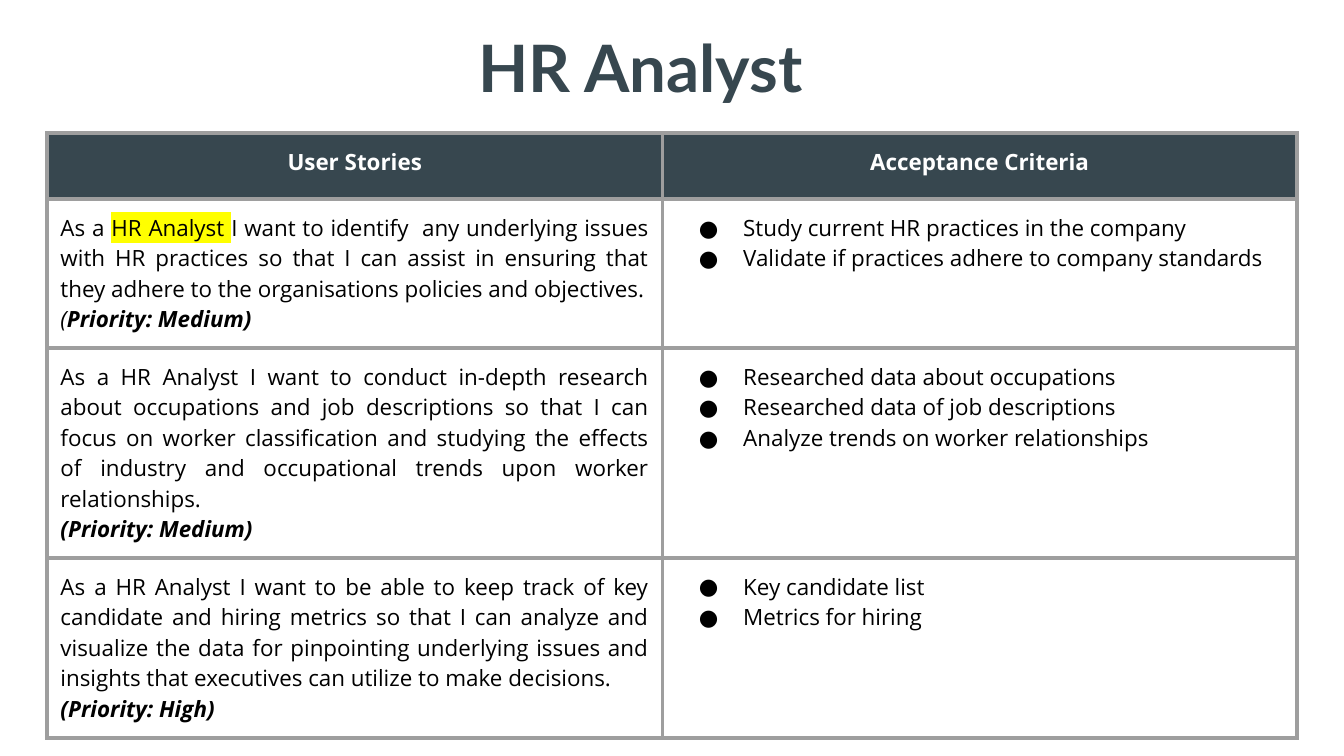
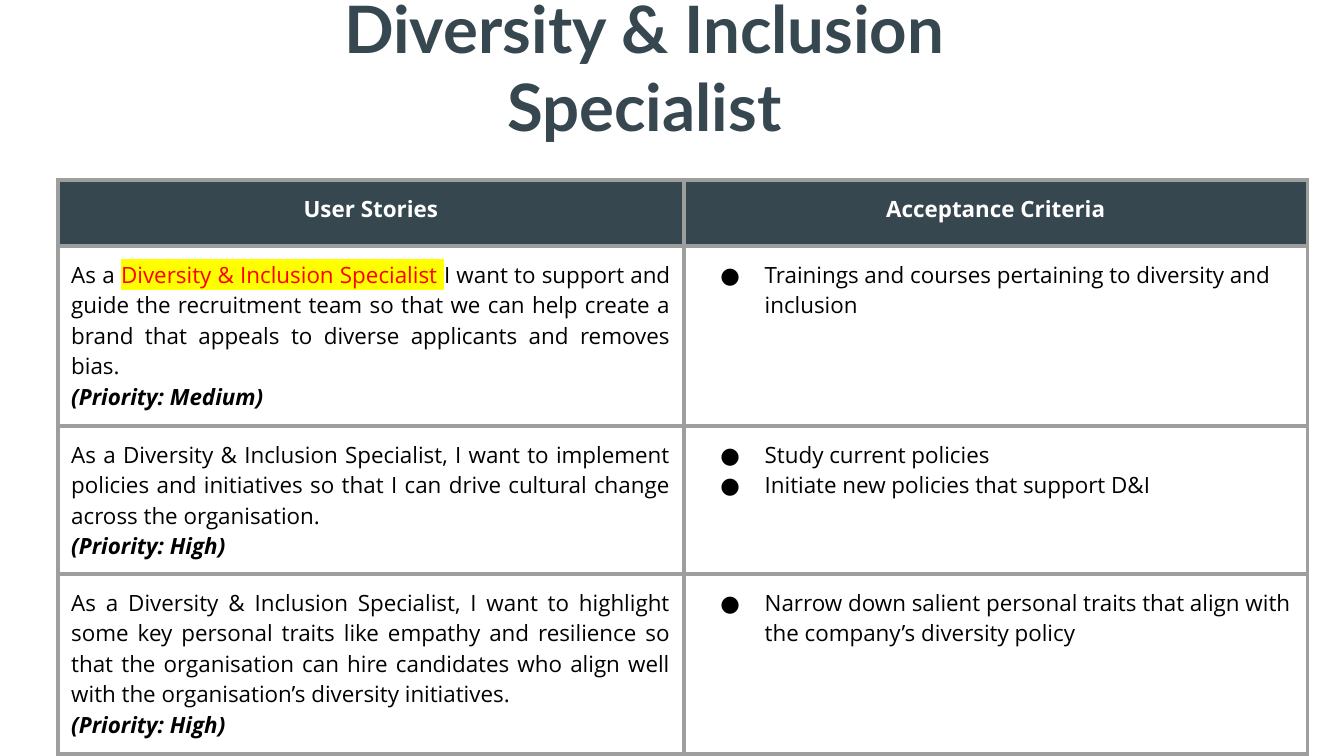
from lxml.etree import SubElement as Sub, Element as Elem
from pptx import Presentation
from pptx.dml.color import RGBColor as Rgb
from pptx.enum.text import MSO_ANCHOR as Anchor, PP_ALIGN as Align
from pptx.oxml.ns import qn
from pptx.util import Inches, Pt

HEX = {"slate": "37474F", "grey": "9E9E9E", "white": "FFFFFF",
       "black": "000000", "red": "FF0000", "yellow": "FFFF00"}
HEADS = ["User Stories", "Acceptance Criteria"]
WIDE = 10
FONT, SIZE = "Open Sans", 12
LINE = 2.25


def paint(node, tag, color):
    """Add a colour element below node."""
    Sub(Sub(node, qn(tag)), qn("a:srgbClr"), val=HEX[color])


def write(para, text, size=SIZE, font=FONT, color="black",
          bold=False, italic=False, mark=None):
    """Add one run of formatted text."""
    run = para.add_run()
    run.text = text
    face = run.font
    face.size, face.bold, face.italic = Pt(size), bold, italic
    face.color.rgb = Rgb.from_string(HEX[color])
    if mark:
        paint(face._element, "a:highlight", mark)
    face.name = font


def bullet(para):
    props = para._p.get_or_add_pPr()
    props.set("marL", str(Inches(0.5)))
    props.set("indent", str(Inches(-0.33)))
    paint(props, "a:buClr", "black")
    Sub(props, qn("a:buSzPts"), val=str(SIZE * 100))
    Sub(props, qn("a:buFont"), typeface=FONT)
    Sub(props, qn("a:buChar"), char="●")


def inset(part):
    """Set equal margins on a cell or a text frame."""
    part.margin_left = part.margin_right = Inches(0.1)
    part.margin_top = part.margin_bottom = Inches(0.1)


def frame(cell):
    """Set the margins and the four borders of a cell."""
    inset(cell)
    props = cell._tc.get_or_add_tcPr()
    for spot, side in enumerate("LRTB"):
        line = Elem(qn("a:ln" + side), w=str(Pt(LINE)))
        paint(line, "a:solidFill", "grey")
        props.insert(spot, line)


def title(slide, box, text):
    shape = slide.shapes.add_textbox(*map(Inches, box))
    body = shape.text_frame
    body.word_wrap = True
    body.vertical_anchor = Anchor.MIDDLE
    inset(body)
    para = body.paragraphs[0]
    para.alignment = Align.CENTER
    write(para, text, size=35, font="Lato", color="slate", bold=True)


def story(cell, runs, rank):
    """Fill a cell with a story and the priority below it."""
    body = cell.text_frame
    for part in (runs, rank):
        para = body.paragraphs[0] if part is runs else body.add_paragraph()
        para.alignment = Align.JUSTIFY
        for text, style in part:
            write(para, text, **style)


def checks(cell, items):
    """Fill a cell with bulleted criteria."""
    body = cell.text_frame
    for num, item in enumerate(items):
        para = body.add_paragraph() if num else body.paragraphs[0]
        bullet(para)
        write(para, item)


def grid(slide, spot, cols, highs, rows):
    """Draw the table with its top left corner at spot."""
    box = (*spot, sum(cols), sum(highs))
    shape = slide.shapes.add_table(len(highs), len(cols), *map(Inches, box))
    table = shape.table
    table.first_row = table.horz_banding = False
    for col, width in zip(table.columns, cols):
        col.width = Inches(width)
    for row, height in zip(table.rows, highs):
        row.height = Inches(height)

    # Header
    for num, head in enumerate(HEADS):
        cell = table.cell(0, num)
        cell.fill.solid()
        cell.fill.fore_color.rgb = Rgb.from_string(HEX["slate"])
        frame(cell)
        para = cell.text_frame.paragraphs[0]
        para.alignment = Align.CENTER
        write(para, head, color="white", bold=True)

    # Stories and criteria
    for num, (runs, rank, items) in enumerate(rows, 1):
        left, right = table.cell(num, 0), table.cell(num, 1)
        for cell in (left, right):
            cell.fill.background()
            frame(cell)
        story(left, runs, rank)
        checks(right, items)


def plain(text):
    return [(text, {})]


def rank(level):
    return [(f"(Priority: {level})", {"bold": True, "italic": True})]


ANALYST = [
    ([("As a ", {}),
      ("HR Analyst ", {"mark": "yellow"}),
      ("I want to identify  any underlying issues with HR practices so that "
       "I can assist in ensuring that they adhere to the organisations "
       "policies and objectives.", {})],
     [("(", {"italic": True}),
      ("Priority: Medium)", {"bold": True, "italic": True})],
     ["Study current HR practices in the company",
      "Validate if practices adhere to company standards"]),
    (plain("As a HR Analyst I want to conduct in-depth research about "
           "occupations and job descriptions so that I can focus on worker "
           "classification and studying the effects of industry and "
           "occupational trends upon worker relationships. "),
     rank("Medium"),
     ["Researched data about occupations",
      "Researched data of job descriptions",
      "Analyze trends on worker relationships"]),
    (plain("As a HR Analyst I want to be able to keep track of key candidate "
           "and hiring metrics so that I can analyze and visualize the data "
           "for pinpointing underlying issues and insights that executives "
           "can utilize to make decisions. "),
     rank("High"),
     ["Key candidate list", "Metrics for hiring"]),
]

EXPERT = [
    ([("As a ", {}),
      ("Diversity & Inclusion Specialist ", {"color": "red", "mark": "yellow"}),
      ("I want to support and guide the recruitment team so that we can help "
       "create a brand that appeals to diverse applicants and removes bias.",
       {})],
     rank("Medium"),
     ["Trainings and courses pertaining to diversity and inclusion"]),
    (plain("As a Diversity & Inclusion Specialist, I want to implement "
           "policies and initiatives so that I can drive cultural change "
           "across the organisation."),
     rank("High"),
     ["Study current policies", "Initiate new policies that support D&I"]),
    (plain("As a Diversity & Inclusion Specialist, I want to highlight some "
           "key personal traits like empathy and resilience so that the "
           "organisation can hire candidates who align well with the "
           "organisation’s diversity initiatives."),
     rank("High"),
     ["Narrow down salient personal traits that align with the company’s "
      "diversity policy"]),
]

# Title, left of title, table corner, column widths, row heights, rows
PAGES = [
    ("HR Analyst", 1.36, (0.35, 0.99), (4.58, 4.72),
     (0.49, 1.11, 1.56, 1.34), ANALYST),
    ("Diversity & Inclusion Specialist", 1.39, (0.43, 1.34), (4.66, 4.64),
     (0.49, 1.34, 1.1, 1.34), EXPERT),
]


def main():
    deck = Presentation()
    deck.slide_width, deck.slide_height = Inches(WIDE), Inches(WIDE * 9 / 16)
    for name, left, spot, cols, highs, rows in PAGES:
        slide = deck.slides.add_slide(deck.slide_layouts[6])
        title(slide, (left, 0, 6.81, 0.99), name)
        grid(slide, spot, cols, highs, rows)
    deck.save("out.pptx")


if __name__ == "__main__":
    main()
